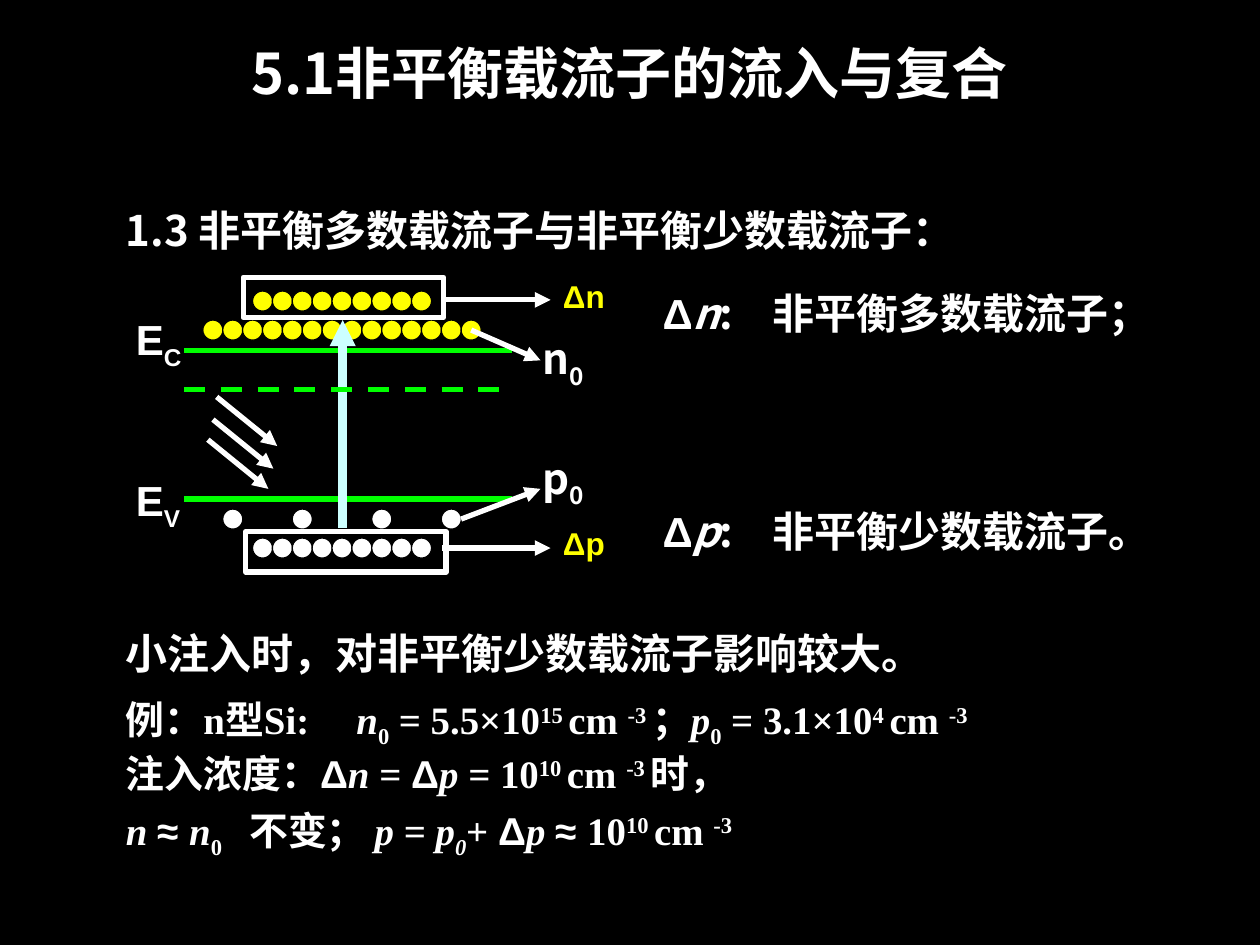
from lxml import etree
from pptx import Presentation
from pptx import util as u
from pptx.dml.color import RGBColor
from pptx.enum import dml, shapes, text
from pptx.oxml.ns import qn

THEME = dict(
    bg="000000", white="FFFFFF", yellow="FFFF00", green="00FF00", beam="CCFFFF",
    cjk="Noto Sans CJK SC", sans="Arial", serif="Times New Roman",
    title=32, body=24, example=22.2, tag=18, line=3, beam_line=5, outline=0.75,
)
SUB, SUP = -25, 30
CJK, SANS, SERIF = THEME["cjk"], THEME["sans"], THEME["serif"]

# Content: a run is (text, font, italic, baseline)
def run(words, font=SERIF, italic=False, base=0):
    return words, font, italic, base


def var(words):
    return run(words, italic=True)


def sub(words):
    return run(words, base=SUB)


def sup(words):
    return run(words, base=SUP)


DELTA, APPROX = run("Δ", SANS), run("≈ ", SANS)
PER_CM3 = [run("cm "), sup("-3")]

EXAMPLE = [
    [run("例：n型Si:\t"), var("n"), sub("0"), run(" = 5.5×10"), sup("15 "), *PER_CM3,
     sup(" "), run("；"), var("p"), sub("0"), run(" = 3.1×10"), sup("4 "), *PER_CM3],
    [run("注入浓度："), DELTA, var("n "), run("= "), DELTA, var("p = "), run("10"),
     sup("10 "), *PER_CM3, sup(" "), run("时，")],
    [var("n "), APPROX, var("n"), sub("0"), run("\t不变； "), var("p = p"),
     run("0", italic=True, base=SUB), run("+ "), DELTA, var("p "), APPROX, run("10"),
     sup("10 "), *PER_CM3],
]
EXAMPLE_TABS = [1.83, None, 0.98]

LEVELS = [("E", "C", SANS, 0.98, 2.44), ("E", "V", SANS, 0.98, 3.72),
          ("n", "0", CJK, 4.21, 2.59), ("p", "0", CJK, 4.21, 3.54)]
TAGS = [("Δn", 2.15), ("Δp", 4.11)]
MEANINGS = [("n", "非平衡多数载流子；", 2.23), ("p", "非平衡少数载流子。", 3.96)]

# Carriers sit on a row of 14 columns: (columns, top, colour)
DOT = 0.16
ROW_LEFT, PITCH = 1.61, 2.05 / 13
EXCESS = [2.5 + i for i in range(9)]
CARRIERS = [([1, 4.5, 8.5, 12], 4.04, "white"), (range(14), 2.54, "yellow"),
            (EXCESS, 4.27, "white"), (EXCESS, 2.31, "yellow")]
FRAMES = [(1.95, 4.22), (1.93, 2.2)]
FRAME_SIZE = (1.59, 0.32)
BAND_X = (1.46, 4.06)
BAND_EDGES, FERMI = (2.78, 3.96), 3.09
POINTERS = [(3.74, 2.62, 4.29, 2.86), (3.66, 4.12, 4.29, 3.88),
            (3.51, 2.38, 4.37, 2.38), (3.51, 4.35, 4.37, 4.35)]
LIGHT_STARTS = [(1.69, 3.33), (1.65, 3.49), (1.72, 3.15)]
LIGHT_STEP = (0.48, 0.39)


def color(name):
    return RGBColor.from_string(THEME[name])


prs = Presentation()
prs.slide_width, prs.slide_height = u.Inches(10), u.Inches(7.5)
s = prs.slides.add_slide(prs.slide_layouts[6])
s.background.fill.solid()
s.background.fill.fore_color.rgb = color("bg")


def add_text(box, paragraphs, size, ink="white", spacing=None, before=0,
             align=None, anchor=text.MSO_ANCHOR.TOP, tabs=()):
    tf = s.shapes.add_textbox(*map(u.Inches, box)).text_frame
    tf.word_wrap = True
    tf.vertical_anchor = anchor
    for i, runs in enumerate(paragraphs):
        p = tf.paragraphs[0] if i == 0 else tf.add_paragraph()
        if i < len(tabs) and tabs[i]:
            stops = etree.SubElement(p._p.get_or_add_pPr(), qn("a:tabLst"))
            etree.SubElement(stops, qn("a:tab"), pos=str(u.Inches(tabs[i])), algn="l")
        p.alignment = align
        p.line_spacing = spacing
        p.space_before = u.Pt(before if i else 0)
        for words, font, italic, base in runs:
            r = p.add_run()
            r.text = words
            r.font.name, r.font.size = font, u.Pt(size)
            r.font.bold, r.font.italic = True, italic
            r.font.color.rgb = color(ink)
            rpr = r.font._element
            etree.SubElement(rpr, qn("a:ea"), typeface=CJK)
            if base:
                rpr.set("baseline", str(base * 1000))


def add_shape(kind, box, fill, line, width):
    sp = s.shapes.add_shape(kind, *map(u.Inches, box))
    sp.shadow.inherit = False
    if fill:
        sp.fill.solid()
        sp.fill.fore_color.rgb = color(fill)
    else:
        sp.fill.background()
    sp.line.color.rgb = color(line)
    sp.line.width = u.Pt(width)


def add_line(ends, ink, width=THEME["line"], arrow=False, dash=None):
    c = s.shapes.add_connector(shapes.MSO_CONNECTOR.STRAIGHT, *map(u.Inches, ends))
    c.line.color.rgb = color(ink)
    c.line.width = u.Pt(width)
    if dash:
        c.line.dash_style = dash
    if arrow:
        etree.SubElement(c.line._get_or_add_ln(), qn("a:tailEnd"), type="triangle")
    etree.SubElement(c._element.spPr, qn("a:effectLst"))


# Headings
add_text((0.5, 0.3, 9, 0.54), [[run("5.1非平衡载流子的流入与复合", CJK)]], THEME["title"],
         align=text.PP_ALIGN.CENTER, anchor=text.MSO_ANCHOR.MIDDLE)
add_text((0.9, 1.47, 7.4, 0.71), [[run("1.3 非平衡多数载流子与非平衡少数载流子：", CJK)]],
         THEME["body"], spacing=1.25)

# Band edges, carriers and the frames round the excess ones
for y in BAND_EDGES:
    add_line((BAND_X[0], y, BAND_X[1], y), "green")
for columns, top, ink in CARRIERS:
    for column in columns:
        add_shape(shapes.MSO_SHAPE.OVAL, (ROW_LEFT + column * PITCH, top, DOT, DOT),
                  ink, "bg", THEME["outline"])
for corner in FRAMES:
    add_shape(shapes.MSO_SHAPE.RECTANGLE, (*corner, *FRAME_SIZE), None, "white", THEME["line"])

# Excitation, Fermi level, pointers and incoming light
add_line((2.72, 4.19, 2.72, 2.54), "beam", THEME["beam_line"], arrow=True)
add_line((BAND_X[0], FERMI, BAND_X[1], FERMI), "green", dash=dml.MSO_LINE.DASH)
light = [(x, y, x + LIGHT_STEP[0], y + LIGHT_STEP[1]) for x, y in LIGHT_STARTS]
for ends in POINTERS + light:
    add_line(ends, "white", arrow=True)

# Diagram labels
for symbol, index, font, x, y in LEVELS:
    add_text((x, y, 0.79, 0.56), [[run(symbol, font), run(index, font, base=SUB)]], THEME["body"])
for words, y in TAGS:
    add_text((4.37, y, 0.63, 0.4), [[run(words, SANS)]], THEME["tag"], "yellow")

# Meanings and worked example
for symbol, meaning, y in MEANINGS:
    add_text((5.16, y, 4.49, 0.56),
             [[DELTA, run(symbol, CJK, True), run(":\t" + meaning, CJK)]],
             THEME["body"], tabs=[0.87])
add_text((0.9, 5.48, 8.11, 1.55), EXAMPLE, THEME["example"], spacing=0.9, before=6,
         tabs=EXAMPLE_TABS)
add_text((0.9, 4.93, 7.95, 0.5), [[run("小注入时，对非平衡少数载流子影响较大。")]], THEME["body"])

prs.save("out.pptx")
